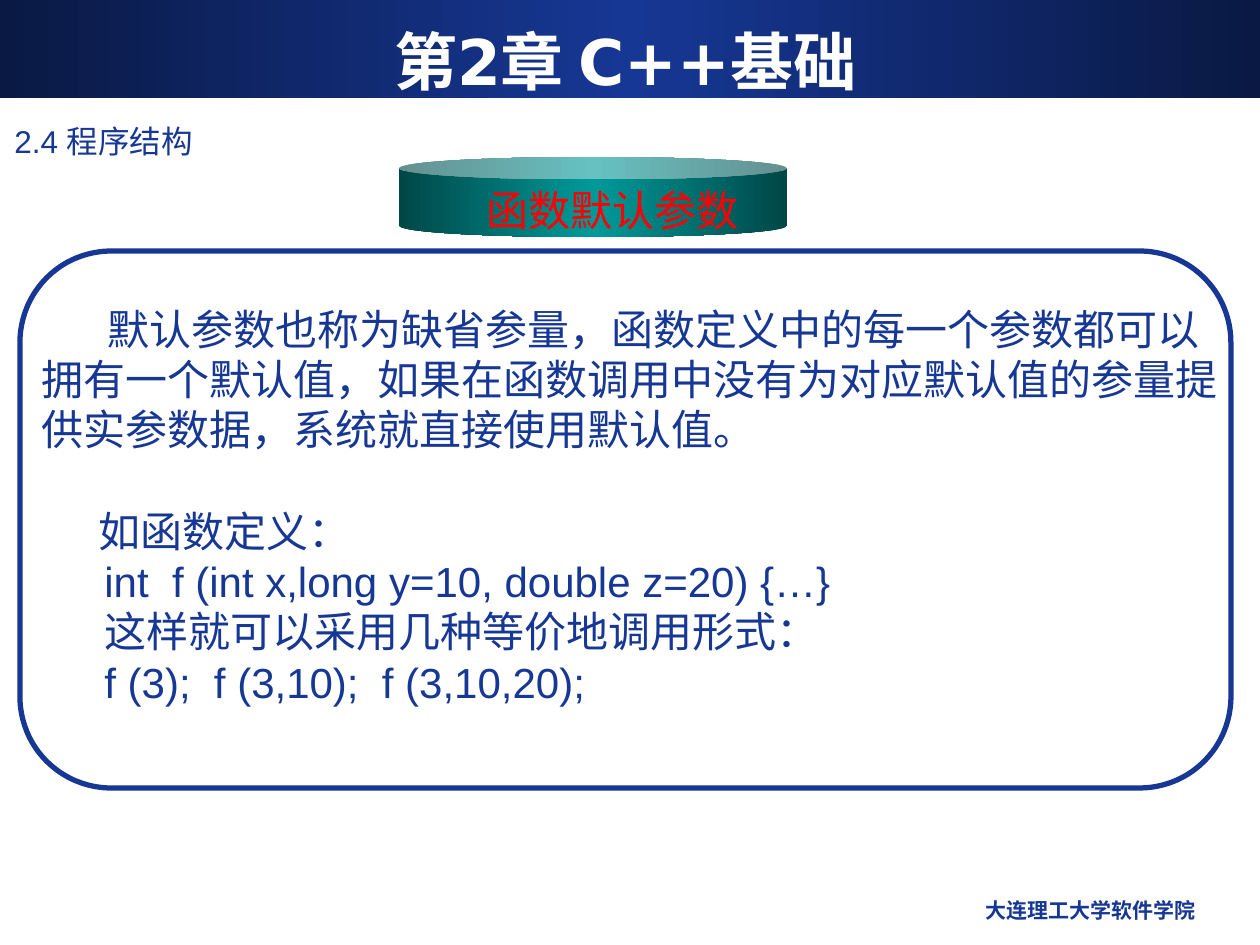
from copy import deepcopy

from pptx import Presentation
from pptx.dml.color import RGBColor
from pptx.enum.shapes import MSO_SHAPE
from pptx.enum.text import MSO_ANCHOR, PP_ALIGN
from pptx.util import Emu, Pt

RECT, CAN, ROUND = MSO_SHAPE.RECTANGLE, MSO_SHAPE.CAN, MSO_SHAPE.ROUNDED_RECTANGLE
LEFT, MID, RIGHT = PP_ALIGN.LEFT, PP_ALIGN.CENTER, PP_ALIGN.RIGHT
TOP, MIDDLE = MSO_ANCHOR.TOP, MSO_ANCHOR.MIDDLE

NAVY = RGBColor(0x16, 0x37, 0x94)
DARK = RGBColor(0x0A, 0x19, 0x44)
TEAL = RGBColor(0x00, 0x99, 0x99)
DEEP = RGBColor(0x00, 0x47, 0x47)
RED = RGBColor(0xFF, 0x00, 0x00)
WHITE = RGBColor(0xFF, 0xFF, 0xFF)

SANS, HEAVY = "Arial", "DejaVu Sans"
SCALE = 914400 / 126

BODY = [
    ("默认参数也称为缺省参量，函数定义中的每一个参数都可以拥有一个默认值，"
     "如果在函数调用中没有为对应默认值的参量提供实参数据，系统就直接使用默认值。", 0, 66, 0),
    ("如函数定义：", 0, 57, 29),
    ("int  f (int x,long y=10, double z=20) {…}", 63, 0, 0),
    ("这样就可以采用几种等价地调用形式：", 63, 0, 0),
    ("f (3);  f (3,10);  f (3,10,20);", 63, 0, 0),
]


def px(n):
    return Emu(round(n * SCALE))


def add_form(slide, kind, box):
    form = slide.shapes.add_shape(kind, *map(px, box))
    form.shadow.inherit = False
    return form


def add_glow(slide, kind, box, edge, core):
    form = add_form(slide, kind, box)
    form.line.fill.background()
    form.fill.gradient()
    form.fill.gradient_angle = 0
    stops = form.fill.gradient_stops
    for stop, color, place in zip(stops, (edge, core), (0, 0.5)):
        stop.color.rgb = color
        stop.position = place
    nodes = form.fill._fill._gradFill.gsLst
    last = deepcopy(nodes[0])
    last.set("pos", "100000")
    nodes.append(last)
    return form


def add_frame(slide, box):
    form = add_form(slide, ROUND, box)
    form.adjustments[0] = 0.17
    form.fill.background()
    form.line.color.rgb = NAVY
    form.line.width = Pt(3)


def add_box(slide, box, wrap=True, anchor=TOP):
    frame = slide.shapes.add_textbox(*map(px, box)).text_frame
    frame.word_wrap = wrap
    frame.vertical_anchor = anchor
    return frame


def add_run(para, text, size, color, font=SANS, bold=False):
    run = para.add_run()
    run.text = text
    run.font.size = Pt(size)
    run.font.color.rgb = color
    run.font.name = font
    run.font.bold = bold


def add_label(slide, box, text, size, color, align=LEFT, font=SANS,
              bold=False, wrap=True, anchor=TOP):
    para = add_box(slide, box, wrap, anchor).paragraphs[0]
    para.alignment = align
    add_run(para, text, size, color, font, bold)


def add_body(slide, box, rows):
    frame = add_box(slide, box)
    for i, (text, left, first, gap) in enumerate(rows):
        para = frame.add_paragraph() if i else frame.paragraphs[0]
        props = para._p.get_or_add_pPr()
        props.set("marL", str(px(left)))
        props.set("indent", str(px(first)))
        if gap:
            para.space_before = Pt(gap)
        add_run(para, text, 24, NAVY)


def main():
    deck = Presentation()
    deck.slide_width, deck.slide_height = px(1260), px(945)
    slide = deck.slides.add_slide(deck.slide_layouts[6])

    add_glow(slide, RECT, (0, 0, 1260, 98), DARK, NAVY)
    add_label(slide, (809, 891, 399, 44), "大连理工大学软件学院", 12, NAVY,
              RIGHT, HEAVY, True)
    add_label(slide, (2, 116, 1166, 42), "2.4 程序结构", 18, NAVY)
    add_label(slide, (42, 21, 1166, 78), "第2章 C++基础", 36, WHITE,
              MID, HEAVY, True, anchor=MIDDLE)
    can = add_glow(slide, CAN, (399, 157, 388, 80), DEEP, TEAL)
    can.adjustments[0] = 0.28
    add_label(slide, (474, 178, 277, 63), "函数默认参数", 24, RED, wrap=False)
    add_body(slide, (29, 297, 1201, 466), BODY)
    add_frame(slide, (20, 251, 1211, 537))

    deck.save("out.pptx")


if __name__ == "__main__":
    main()
